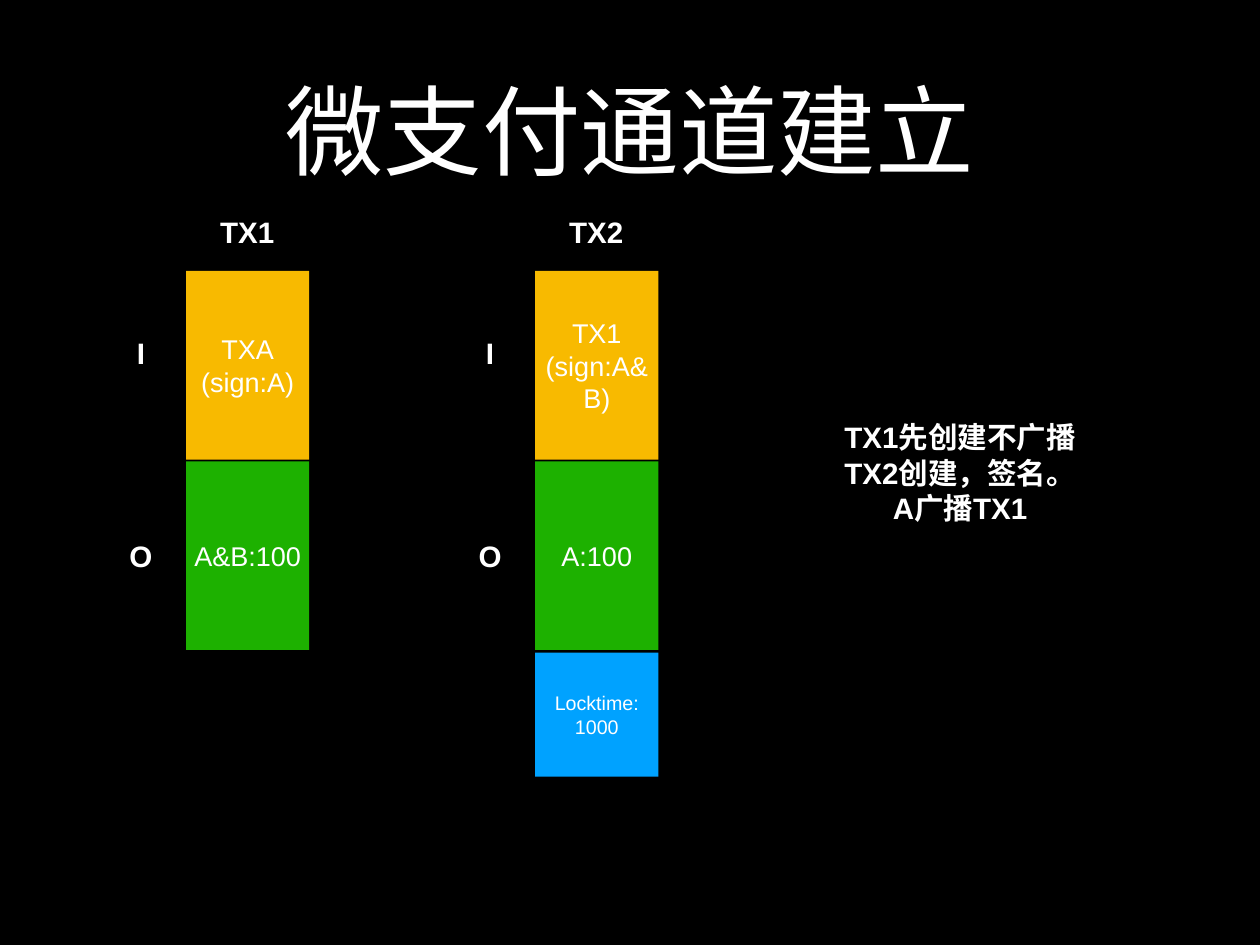
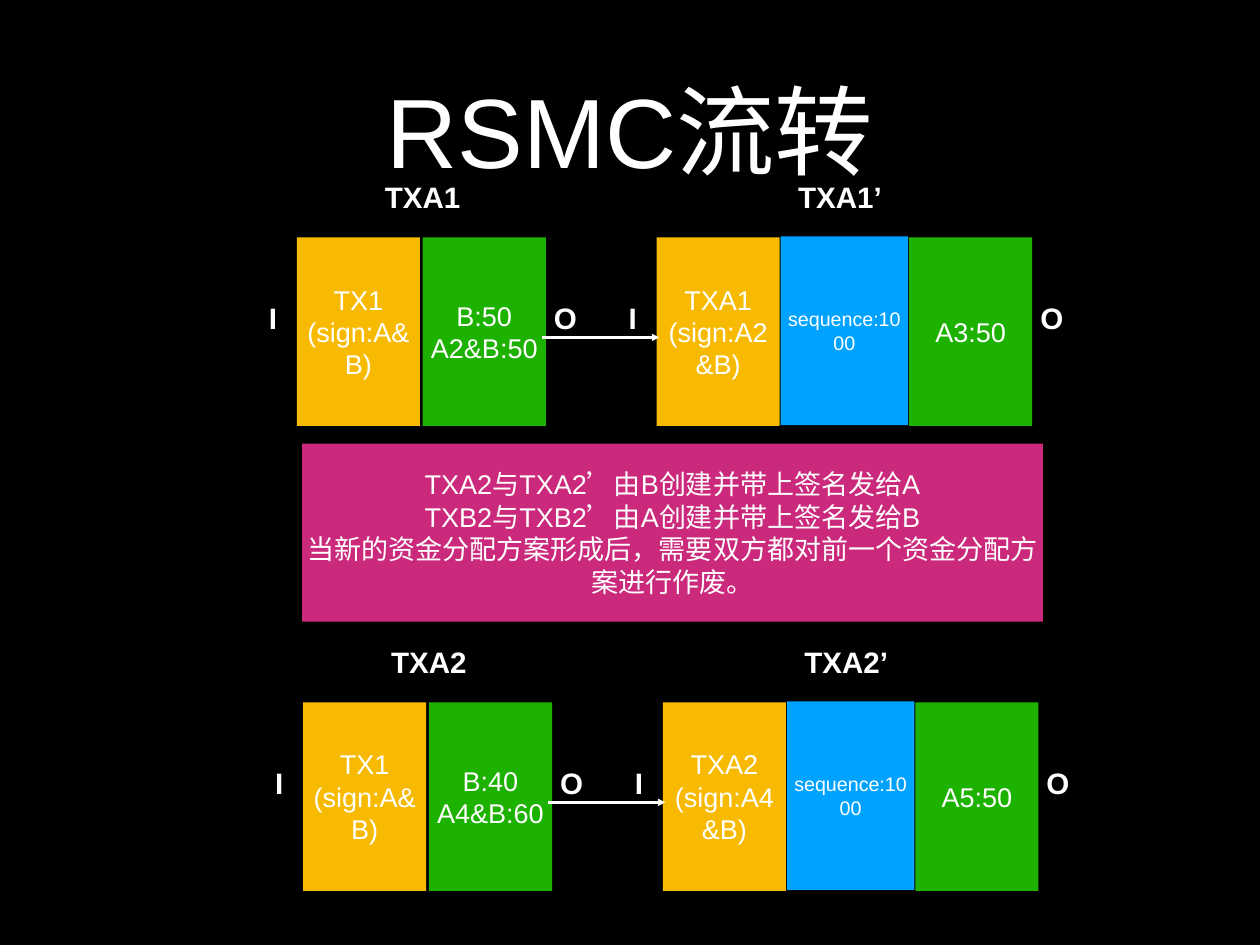
import pptx
import pptx.util
import pptx.dml.color
import pptx.enum.shapes
import pptx.enum.text
import pptx.oxml.ns
import lxml.etree

PX = 9144  # EMU in one px, 100 px to the inch
COLORS = {
    "background": "000000",
    "text": "FFFFFF",
    "input": "F8BA00",
    "output": "1DB100",
    "lock": "00A2FF",
    "note": "CB297B",
}
RGB = {name: pptx.dml.color.RGBColor.from_string(value) for name, value in COLORS.items()}
FRAME_FORMAT = {
    "margin_left": 5 * PX,
    "margin_right": 5 * PX,
    "margin_top": 5 * PX,
    "margin_bottom": 5 * PX,
    "vertical_anchor": pptx.enum.text.MSO_ANCHOR.MIDDLE,
}
BLOCK_WIDTH, BLOCK_HEIGHT = 139, 213
LABEL_HEIGHT = 50
INPUT_WIDTH, OUTPUT_WIDTH = 22, 38  # widths of the "I" and "O" labels


def write_text(shape, text, size, bold=False, wrap=True):
    frame = shape.text_frame
    frame.text = text
    fit = pptx.enum.text.MSO_AUTO_SIZE
    fitting = {"word_wrap": wrap, "auto_size": fit.NONE if wrap else fit.SHAPE_TO_FIT_TEXT}
    for name, value in {**FRAME_FORMAT, **fitting}.items():
        setattr(frame, name, value)
    font_format = {"name": "Arial", "size": pptx.util.Pt(size), "bold": bold}
    for paragraph in frame.paragraphs:
        paragraph.alignment = pptx.enum.text.PP_ALIGN.CENTER
        for run in paragraph.runs:
            for name, value in font_format.items():
                setattr(run.font, name, value)
            run.font.color.rgb = RGB["text"]


def add_text(shapes, text, box, color=None, size=22):
    """Add a filled block, or a bold label when no color is given."""
    left, top, width, height = (length * PX for length in box)
    if color is None:
        label = shapes.add_textbox(left, top, width, height)
        write_text(label, text, 24, bold=True, wrap=False)
        return
    block = shapes.add_shape(
        pptx.enum.shapes.MSO_SHAPE.RECTANGLE, left, top, width, height)
    block.shadow.inherit = False
    block.fill.solid()
    block.fill.fore_color.rgb = RGB[color]
    block.line.fill.background()
    write_text(block, text, size)


presentation = pptx.Presentation()
presentation.slide_width = 1422 * PX
presentation.slide_height = 1067 * PX

master_fill = presentation.slide_master.background.fill
master_fill.solid()
master_fill.fore_color.rgb = RGB["background"]

title_layout = presentation.slide_layouts.get_by_name("Title Only")
title_box = {"left": 104, "top": 28, "width": 1214, "height": 236}
slides = []
for title_text in ("微支付通道建立", "RSMC流转"):
    slide = presentation.slides.add_slide(title_layout)
    for name, length in title_box.items():
        setattr(slide.shapes.title, name, length * PX)
    write_text(slide.shapes.title, title_text, 80)
    slides.append(slide)
setup_slide, transfer_slide = slides

# Channel setup: one column per transaction
COLUMN_TOP = 306
OUTPUT_TOP = COLUMN_TOP + BLOCK_HEIGHT + 2
LOCK_TOP = OUTPUT_TOP + BLOCK_HEIGHT + 3
columns = [
    (210, "TX1", "TXA\n(sign:A)", "A&B:100", None),
    (604, "TX2", "TX1\n(sign:A&B)", "A:100", "Locktime:\n1000"),
]
for left, heading, input_text, output_text, lock_text in columns:
    shapes = setup_slide.shapes.add_group_shape().shapes
    add_text(shapes, input_text, (left, COLUMN_TOP, BLOCK_WIDTH, BLOCK_HEIGHT), "input")
    add_text(shapes, output_text, (left, OUTPUT_TOP, BLOCK_WIDTH, BLOCK_HEIGHT), "output")
    add_text(shapes, heading, (left + 27, 237, 84, LABEL_HEIGHT))
    add_text(shapes, "I", (left - 62, 373, INPUT_WIDTH, LABEL_HEIGHT))
    add_text(shapes, "O", (left - 70, 603, OUTPUT_WIDTH, LABEL_HEIGHT))
    if lock_text:
        add_text(shapes, lock_text, (left, LOCK_TOP, BLOCK_WIDTH, 140), "lock", 16)
add_text(setup_slide.shapes, "TX1先创建不广播\nTX2创建，签名。\nA广播TX1", (942, 458, 283, 151))

# Transfer: one row per pair of linked transactions
rows = [
    (335, 268, "TXA1", "B:50\nA2&B:50", "(sign:A2&B)", "A3:50"),
    (342, 793, "TXA2", "B:40\nA4&B:60", "(sign:A4&B)", "A5:50"),
]
for left, top, name, output_text, signature, final_output in rows:
    shapes = transfer_slide.shapes.add_group_shape().shapes
    blocks = [
        (0, "TX1\n(sign:A&B)", "input"),
        (142, output_text, "output"),
        (406, f"{name}\n{signature}", "input"),
        (691, final_output, "output"),
    ]
    for offset, text, color in blocks:
        add_text(shapes, text, (left + offset, top, BLOCK_WIDTH, BLOCK_HEIGHT), color)
    add_text(shapes, "sequence:1000", (left + 546, top - 1, 144, BLOCK_HEIGHT), "lock", 16)

    labels = [
        (82, -71, 120, name),
        (548, -71, 130, f"{name}’"),
        (-38, 66, INPUT_WIDTH, "I"),
        (284, 66, OUTPUT_WIDTH, "O"),
        (368, 66, INPUT_WIDTH, "I"),
        (833, 66, OUTPUT_WIDTH, "O"),
    ]
    for offset, drop, width, text in labels:
        add_text(shapes, text, (left + offset, top + drop, width, LABEL_HEIGHT))

    arrow_y = (top + 113) * PX
    arrow = shapes.add_connector(
        pptx.enum.shapes.MSO_CONNECTOR.STRAIGHT,
        (left + 277) * PX, arrow_y, (left + 409) * PX, arrow_y)
    arrow.line.color.rgb = RGB["text"]
    arrow.line.width = pptx.util.Pt(2)
    arrow_properties = arrow.element.spPr
    line_xml = arrow_properties.find(pptx.oxml.ns.qn("a:ln"))
    lxml.etree.SubElement(line_xml, pptx.oxml.ns.qn("a:tailEnd"), type="triangle")
    lxml.etree.SubElement(arrow_properties, pptx.oxml.ns.qn("a:effectLst"))

add_text(
    transfer_slide.shapes,
    "TXA2与TXA2’由B创建并带上签名发给A\n"
    "TXB2与TXB2’由A创建并带上签名发给B\n"
    "当新的资金分配方案形成后，需要双方都对前一个资金分配方案进行作废。",
    (341, 501, 836, 201), "note")

presentation.save("out.pptx")
